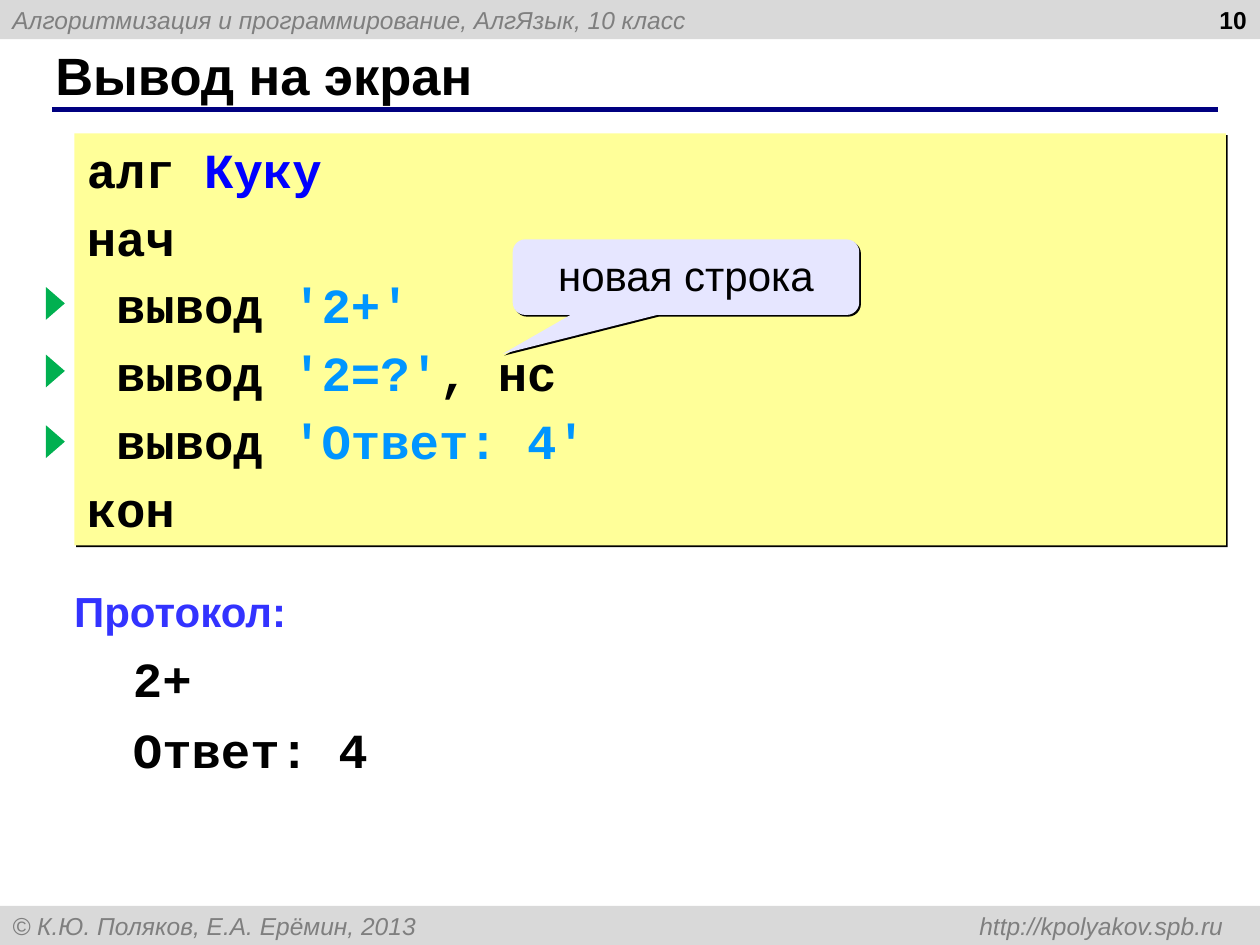
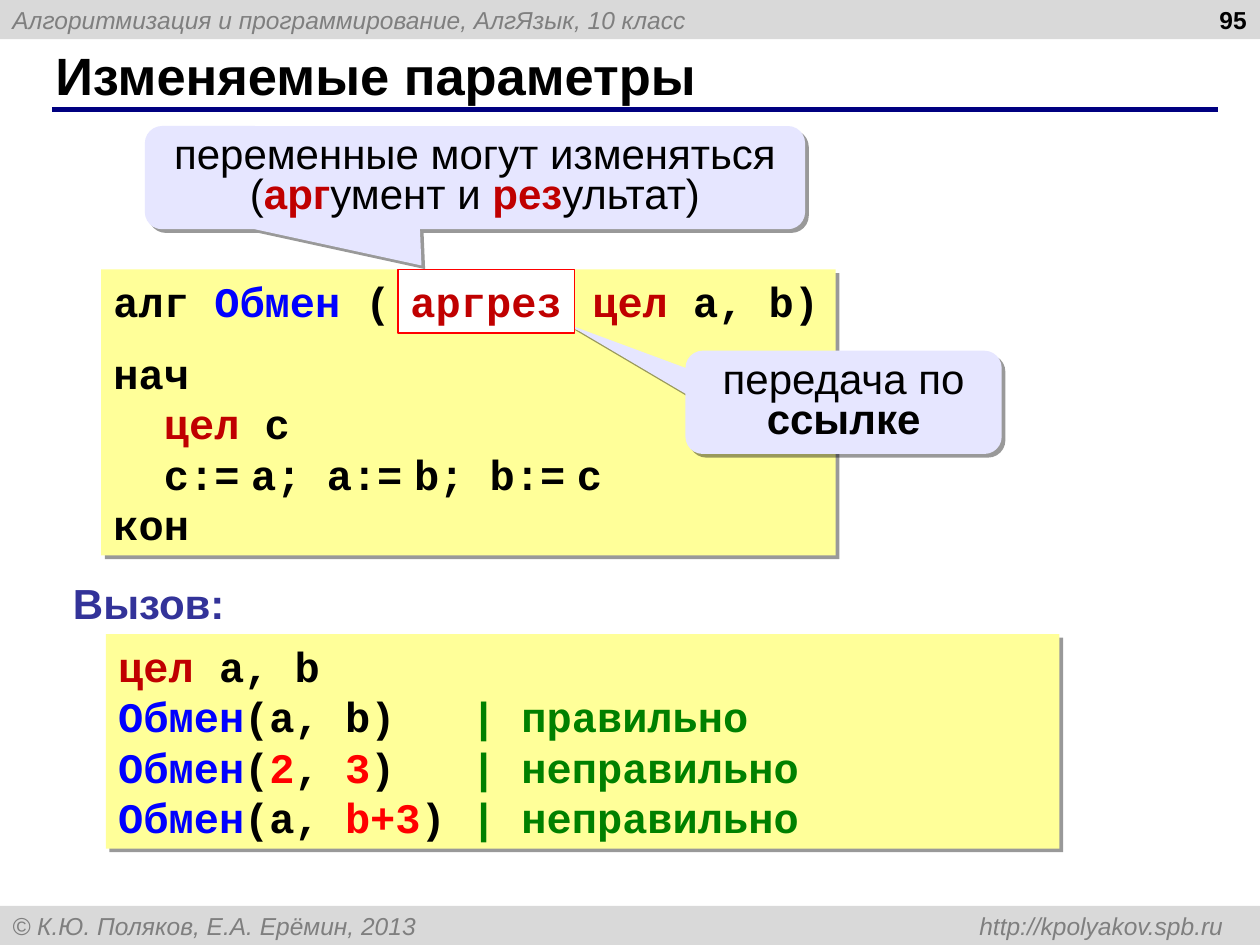
import pptx
import pptx.util
import pptx.dml.color
import pptx.enum.shapes
import pptx.enum.text
import pptx.oxml
import pptx.oxml.ns

Pt = pptx.util.Pt
RGBColor = pptx.dml.color.RGBColor
SHAPE = pptx.enum.shapes.MSO_SHAPE
ALIGN = pptx.enum.text.PP_ALIGN
ANCHOR = pptx.enum.text.MSO_ANCHOR
NS = pptx.oxml.ns.nsdecls("a")

BLACK = RGBColor(0x00, 0x00, 0x00)
WHITE = RGBColor(0xFF, 0xFF, 0xFF)
BAND = RGBColor(0xD9, 0xD9, 0xD9)
BAND_TEXT = RGBColor(0x7F, 0x7F, 0x7F)
NAVY = RGBColor(0x00, 0x00, 0x80)
CODE_FILL = RGBColor(0xFF, 0xFF, 0x99)
CALLOUT_FILL = RGBColor(0xE6, 0xE6, 0xFF)
NAME = RGBColor(0x00, 0x00, 0xFF)
STRING = RGBColor(0x00, 0x95, 0xFF)
KEYWORD = RGBColor(0xC0, 0x00, 0x00)
ERROR = RGBColor(0xFF, 0x00, 0x00)
COMMENT = RGBColor(0x00, 0x80, 0x00)
MARKER = RGBColor(0x00, 0xB0, 0x50)
PROTOCOL = RGBColor(0x33, 0x33, 0xFF)
CALL = RGBColor(0x33, 0x33, 0x99)

TEXT_FONT = "Arial"
CODE_FONT = "Courier New"
CODE_CHAR = 14.4  # width of one code character at 24 pt


def add_panel(slide, kind, box, fill, shadow=None):
    """Borderless shape; shadow is (distance in points, opacity in percent)."""
    panel = slide.shapes.add_shape(kind, *map(Pt, box))
    panel.shadow.inherit = False
    panel.fill.solid()
    panel.fill.fore_color.rgb = fill
    panel.line.fill.background()
    if shadow:
        distance, opacity = shadow
        panel._element.spPr.find(pptx.oxml.ns.qn("a:effectLst")).append(pptx.oxml.parse_xml(
            f'<a:outerShdw {NS} dist="{Pt(distance)}" dir="2700000" algn="ctr" rotWithShape="0">'
            f'<a:srgbClr val="000000"><a:alpha val="{opacity * 1000}"/></a:srgbClr></a:outerShdw>'))
    return panel


def write(shape, lines, size, font=TEXT_FONT, bold=False, italic=False, align=ALIGN.LEFT,
          anchor=ANCHOR.MIDDLE, wrap=True, tab=None, tab_side="l"):
    """Each line is a list of (text, colour) runs; tab is one stop in points."""
    frame = shape.text_frame
    frame.word_wrap = wrap
    frame.vertical_anchor = anchor
    for index, line in enumerate(lines):
        paragraph = frame.add_paragraph() if index else frame.paragraphs[0]
        if tab:
            paragraph._p.get_or_add_pPr().append(pptx.oxml.parse_xml(
                f'<a:tabLst {NS}><a:tab pos="{Pt(tab)}" algn="{tab_side}"/></a:tabLst>'))
        paragraph.alignment = align
        for text, color in line:
            run = paragraph.add_run()
            run.text = text
            run.font.name = font
            run.font.size = Pt(size)
            run.font.bold = bold
            run.font.italic = italic
            run.font.color.rgb = color
    return frame


deck = pptx.Presentation()
deck.slide_width, deck.slide_height = Pt(720), Pt(540)

# Shared bands, title, rule and number
slides = []
for title, number in [("Вывод на экран", "10"), ("Изменяемые параметры", "95")]:
    slide = deck.slides.add_slide(deck.slide_layouts[6])
    slides.append(slide)
    for top, text in [(0, "Алгоритмизация и программирование, АлгЯзык, 10 класс"),
                      (517.6, "© К.Ю. Поляков, Е.А. Ерёмин, 2013\thttp://kpolyakov.spb.ru")]:
        band = add_panel(slide, SHAPE.RECTANGLE, (0, top, 720, 22.4), BAND)
        write(band, [[(text, BAND_TEXT)]], 14, italic=True, tab=692, tab_side="r")
    rule = slide.shapes.add_connector(pptx.enum.shapes.MSO_CONNECTOR.STRAIGHT,
                                      Pt(29.6), Pt(62.5), Pt(696), Pt(62.5))
    rule.line.color.rgb = NAVY
    rule.line.width = Pt(3)
    rule._element.spPr.append(pptx.oxml.parse_xml(f"<a:effectLst {NS}/>"))
    heading = slide.shapes.add_textbox(Pt(24.5), Pt(24), Pt(660), Pt(37.4))
    write(heading, [[(title, BLACK)]], 30, bold=True)
    page = slide.shapes.add_textbox(Pt(551.5), Pt(0), Pt(168), Pt(22.4))
    write(page, [[(number, BLACK)]], 14, bold=True, align=ALIGN.RIGHT)
output_slide, parameters_slide = slides

# Output program
HARD_SHADOW = (1.4, 100)
program = add_panel(output_slide, SHAPE.RECTANGLE, (42.5, 76.3, 658, 235.4), CODE_FILL, HARD_SHADOW)
program_text = write(program, [
    [("алг ", BLACK), ("Куку", NAME)],
    [("нач", BLACK)],
    [(" вывод ", BLACK), ("'2+'", STRING)],
    [(" вывод ", BLACK), ("'2=?'", STRING), (", нс", BLACK)],
    [(" вывод ", BLACK), ("'Ответ: 4'", STRING)],
    [("кон", BLACK)],
], 28, CODE_FONT, bold=True, anchor=ANCHOR.TOP)
program_text.margin_top = Pt(3.2)
for paragraph in program_text.paragraphs[1:]:
    paragraph.space_before = Pt(5.2)

# Protocol of the run
protocol = output_slide.shapes.add_textbox(Pt(35.3), Pt(331.2), Pt(652), Pt(117.4))
protocol_text = write(protocol, [[("Протокол:", PROTOCOL)], [("2+", BLACK)], [("Ответ: 4", BLACK)]],
                      28, CODE_FONT, bold=True, anchor=ANCHOR.TOP)
protocol_heading = protocol_text.paragraphs[0].runs[0].font
protocol_heading.name, protocol_heading.size = TEXT_FONT, Pt(24)
for paragraph in protocol_text.paragraphs[1:]:
    paragraph.space_before = Pt(7)
    paragraph._p.get_or_add_pPr().set("marL", str(Pt(33.6)))

# Markers beside the output statements
for top in (168, 206.6, 247):
    marker = add_panel(output_slide, SHAPE.ISOSCELES_TRIANGLE, (22.3, top, 18.7, 10.8), MARKER)
    marker.rotation = 90

# Procedure with changeable parameters, drawn below its callouts
SOFT_SHADOW = (3, 40)
procedure = add_panel(parameters_slide, SHAPE.RECTANGLE, (57.8, 154, 419.8, 163.4), CODE_FILL, SOFT_SHADOW)
procedure_text = write(procedure, [
    [("алг ", BLACK), ("Обмен ", NAME), ("(\t", BLACK), ("цел ", KEYWORD), ("a, b)", BLACK)],
    [("нач", BLACK)],
    [("  ", BLACK), ("цел ", KEYWORD), ("c", BLACK)],
    [(part, BLACK) for part in ("  c:=", " ", "a; a:=", " ", "b; b:=", " ", "c")],
    [("кон", BLACK)],
], 24, CODE_FONT, bold=True, tab=19 * CODE_CHAR)
procedure_text.paragraphs[1].space_before = Pt(12)
for run in procedure_text.paragraphs[3].runs:
    if run.text == " ":
        run.font.name = TEXT_FONT

# Callouts of both slides; every second run is bold
new_line = (output_slide, (293, 136.8, 198, 43.2), (-0.529, 1.015), HARD_SHADOW, ANCHOR.TOP,
            [("новая строка", BLACK)])
by_reference = (parameters_slide, (391.7, 200.4, 180.7, 59), (-0.872, -0.756), SOFT_SHADOW,
                ANCHOR.MIDDLE, [("передача по ", BLACK), ("ссылке", BLACK)])
changeable = (parameters_slide, (82.8, 72, 377.3, 59), (-0.081, 0.851), SOFT_SHADOW, ANCHOR.MIDDLE,
              [("переменные могут изменяться (", BLACK), ("арг", KEYWORD), ("умент и ", BLACK),
               ("рез", KEYWORD), ("ультат)", BLACK)])
for slide, box, tip, shadow, anchor, runs in (new_line, by_reference, changeable):
    callout = add_panel(slide, SHAPE.ROUNDED_RECTANGULAR_CALLOUT, box, CALLOUT_FILL, shadow)
    callout.adjustments[0], callout.adjustments[1] = tip
    callout.adjustments[2] = 0.167
    remark = write(callout, [runs], 24, align=ALIGN.CENTER, anchor=anchor).paragraphs[0]
    if len(runs) > 1:
        remark.line_spacing = 0.8
    for run in remark.runs[1::2]:
        run.font.bold = True

# Highlighted parameter mode
mode = add_panel(parameters_slide, SHAPE.RECTANGLE, (227.5, 154, 100.8, 36.4), WHITE)
mode.line.color.rgb = ERROR
mode.line.width = Pt(0.75)
write(mode, [[("аргрез", KEYWORD)]], 24, CODE_FONT, bold=True, anchor=ANCHOR.TOP, wrap=False)

# Calls of the procedure
calls = add_panel(parameters_slide, SHAPE.RECTANGLE, (60.5, 362.3, 545, 122.6), CODE_FILL, SOFT_SHADOW)
write(calls, [
    [("цел ", KEYWORD), ("a, b", BLACK)],
    [("Обмен", NAME), ("(a, b)\t", BLACK), ("| правильно", COMMENT)],
    [("Обмен", NAME), ("(", BLACK), ("2", ERROR), (", ", BLACK), ("3", ERROR), (")\t", BLACK),
     ("| неправильно", COMMENT)],
    [("Обмен", NAME), ("(a, ", BLACK), ("b+3", ERROR), (")\t", BLACK), ("| неправильно", COMMENT)],
], 24, CODE_FONT, bold=True, tab=14 * CODE_CHAR)
calls_heading = parameters_slide.shapes.add_textbox(Pt(34.6), Pt(326.2), Pt(101.5), Pt(36))
write(calls_heading, [[("Вызов:", CALL)]], 24, bold=True, anchor=ANCHOR.TOP, wrap=False)

deck.save("out.pptx")
